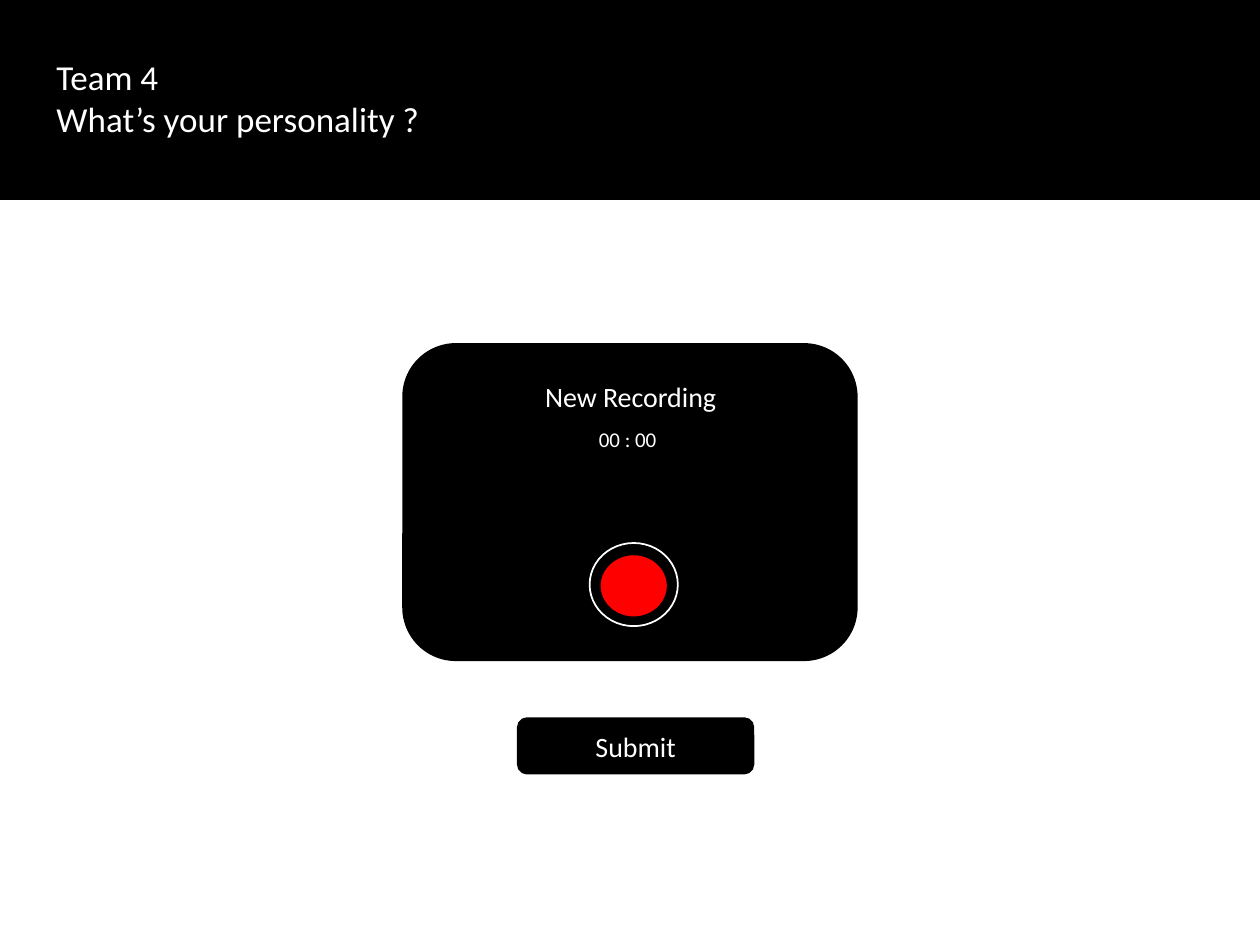
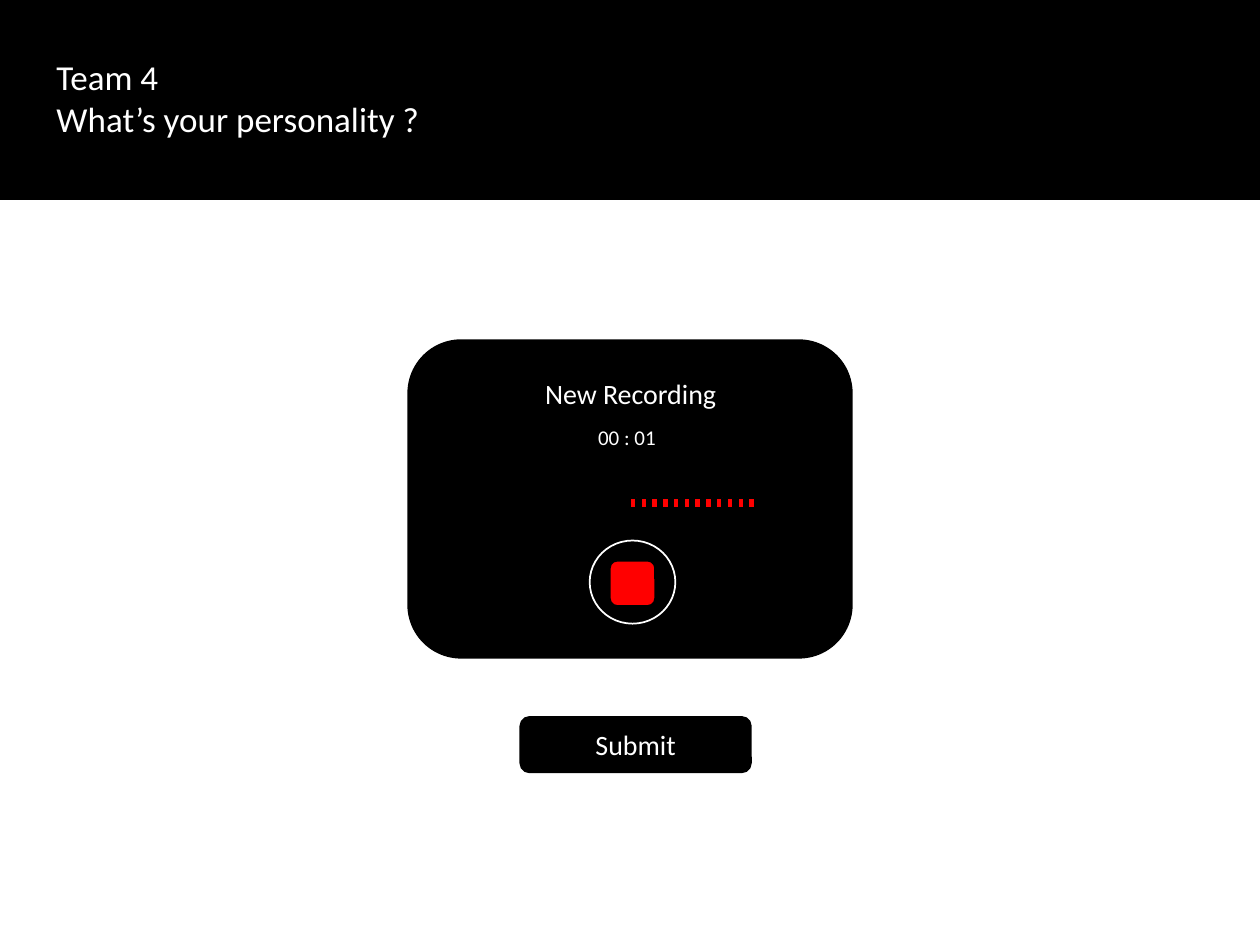
import pptx
import pptx.util
import pptx.dml.color
import pptx.enum.shapes
import pptx.enum.text

Inches = pptx.util.Inches
Pt = pptx.util.Pt
SHAPES = pptx.enum.shapes.MSO_SHAPE
ALIGN = pptx.enum.text.PP_ALIGN

FONT = "Calibri"
COLORS = {"black": "000000", "white": "FFFFFF", "red": "FF0000"}
HEADING = "Team 4 \vWhat’s your personality ?"
RECORDING_TITLE = "New Recording"
SUBMIT_LABEL = "Submit"

SCREENS = [
    {
        "time": "00 : 00 ",
        "panel": (3.2, 2.73, 3.6, 2.51),
        "title_box": (4.05, 2.96, 1.91, 0.37),
        "time_box": (4.09, 3.34, 1.82, 0.3),
        "ring": (4.68, 4.31, 0.7, 0.66),
        "button": (SHAPES.OVAL, (4.76, 4.4, 0.54, 0.5)),
        "submit": (4.11, 5.7, 1.87, 0.44),
        "level_bars": 0,
    },
    {
        "time": "00 : 01 ",
        "panel": (3.24, 2.7, 3.52, 2.52),
        "title_box": (4.07, 2.94, 1.87, 0.37),
        "time_box": (4.11, 3.32, 1.77, 0.3),
        "ring": (4.68, 4.29, 0.68, 0.66),
        "button": (SHAPES.ROUNDED_RECTANGLE, (4.84, 4.45, 0.36, 0.36)),
        "submit": (4.13, 5.69, 1.83, 0.44),
        "level_bars": 12,
    },
]
BARS_LEFT, BARS_LAST, BARS_TOP = 5, 5.94, 3.95
BAR_WIDTH, BAR_HEIGHT = 0.05, 0.08


def color(name):
    return pptx.dml.color.RGBColor.from_string(COLORS[name])


def write(shape, text, size, alignment):
    frame = shape.text_frame
    frame.word_wrap = True
    paragraph = frame.paragraphs[0]
    paragraph.text = text
    paragraph.alignment = alignment
    paragraph.font.name = FONT
    paragraph.font.size = Pt(size)
    paragraph.font.color.rgb = color("white")


def add_text(slide, box, text, size, alignment=ALIGN.CENTER):
    write(slide.shapes.add_textbox(*map(Inches, box)), text, size, alignment)


def add_block(slide, kind, box, fill="black", line="black"):
    shape = slide.shapes.add_shape(kind, *map(Inches, box))
    shape.shadow.inherit = False
    shape.fill.solid()
    shape.fill.fore_color.rgb = color(fill)
    shape.line.color.rgb = color(line)
    shape.line.width = Pt(1)
    return shape


def add_header(slide):
    add_block(slide, SHAPES.RECTANGLE, (0, 0, 10, 1.58))
    add_text(slide, (0.35, 0.39, 5.14, 0.77), HEADING, 20, ALIGN.LEFT)


def add_level_bars(slide, count):
    for index in range(count):
        left = BARS_LEFT + index * (BARS_LAST - BARS_LEFT) / (count - 1)
        add_block(slide, SHAPES.RECTANGLE, (left, BARS_TOP, BAR_WIDTH, BAR_HEIGHT), "red")


def add_recorder(slide, screen):
    add_block(slide, SHAPES.ROUNDED_RECTANGLE, screen["panel"])
    add_text(slide, screen["title_box"], RECORDING_TITLE, 16)
    add_text(slide, screen["time_box"], screen["time"], 12)
    add_level_bars(slide, screen["level_bars"])
    add_block(slide, SHAPES.OVAL, screen["ring"], line="white")
    add_block(slide, *screen["button"], fill="red")
    submit = add_block(slide, SHAPES.ROUNDED_RECTANGLE, screen["submit"])
    submit.text_frame.vertical_anchor = pptx.enum.text.MSO_ANCHOR.MIDDLE
    write(submit, SUBMIT_LABEL, 16, ALIGN.CENTER)


def main():
    presentation = pptx.Presentation()
    presentation.slide_width = Inches(10)
    presentation.slide_height = Inches(7.5)
    for screen in SCREENS:
        slide = presentation.slides.add_slide(presentation.slide_layouts[6])
        add_header(slide)
        add_recorder(slide, screen)
    presentation.save("out.pptx")


if __name__ == "__main__":
    main()
